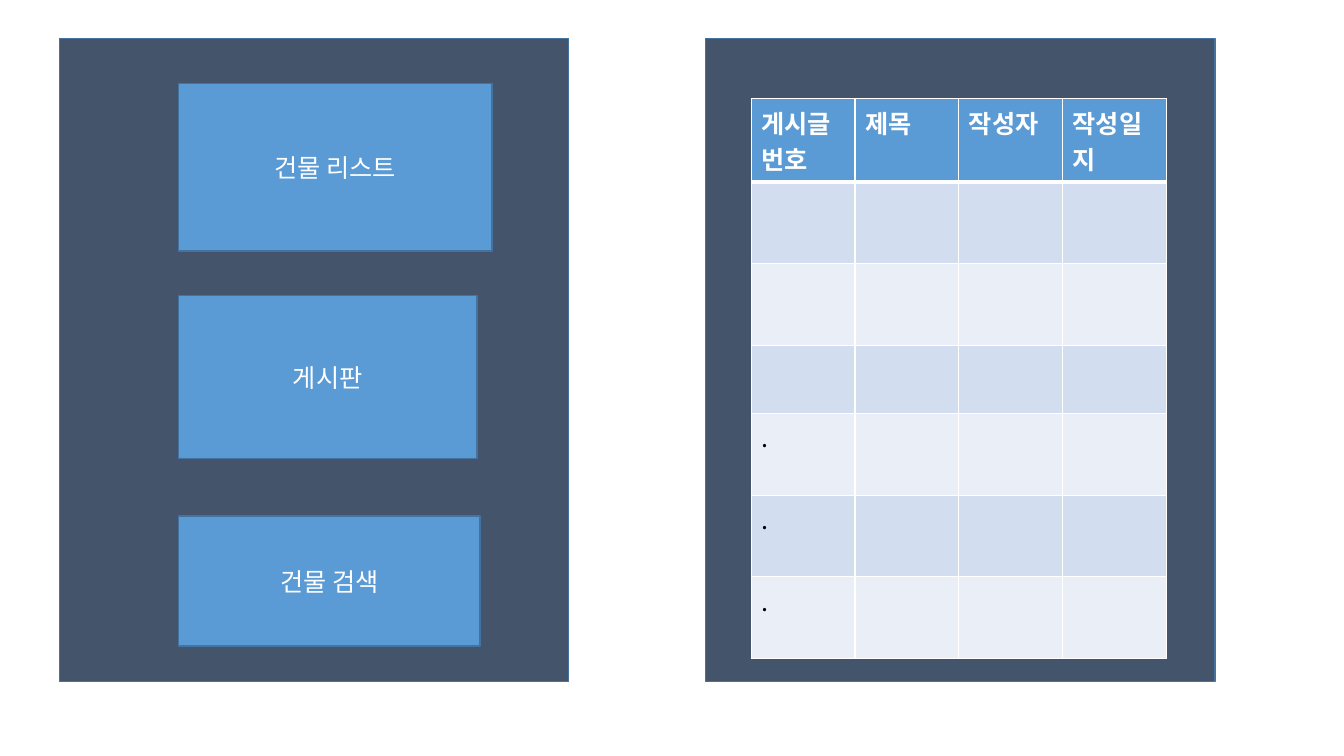
import pptx
import pptx.util
import pptx.dml.color
import pptx.enum.shapes
import pptx.enum.text
import pptx.oxml.ns
import lxml.etree

Inches = pptx.util.Inches
FONT = "Noto Sans CJK KR"
COLORS = {
    "panel": "44546A", "button": "5B9BD5", "outline": "43739E",
    "white": "FFFFFF", "black": "000000",
    "odd_row": "D2DEEF", "even_row": "EAEFF7",
}
PANEL_TOP, PANEL_WIDTH, PANEL_HEIGHT = 0.38, 5.05, 6.38

# Menu buttons: label, top within the panel, width, height
BUTTON_LEFT = 1.18
BUTTONS = [
    ("건물 리스트", 0.45, 3.11, 1.66),
    ("게시판", 2.55, 2.96, 1.62),
    ("건물 검색", 4.74, 2.99, 1.29),
]

# Post list
HEADERS = ["게시글번호", "제목", "작성자", "작성일지"]
ROW_HEIGHTS = [0.81, 0.81, 0.81, 0.68, 0.81, 0.81, 0.81]
COLUMN_WIDTH = 1.03
DOTTED_ROWS = (4, 5, 6)


def color(name):
    return pptx.dml.color.RGBColor.from_string(COLORS[name])


def add_child(parent, tag, **attributes):
    return lxml.etree.SubElement(parent, pptx.oxml.ns.qn(tag), attributes)


def write(frame, text, color_name, bold=False):
    para = frame.paragraphs[0]
    para.text = text
    font = para.font
    font.name = FONT
    font.size = pptx.util.Pt(18)
    font.bold = bold
    font.color.rgb = color(color_name)
    # Hangul takes the East Asian typeface
    add_child(para._p.pPr.find(pptx.oxml.ns.qn("a:defRPr")), "a:ea", typeface=FONT)
    return para


def add_rectangle(page, left, top, width, height, fill):
    box = page.shapes.add_shape(
        pptx.enum.shapes.MSO_SHAPE.RECTANGLE,
        Inches(left), Inches(top), Inches(width), Inches(height))
    box.shadow.inherit = False
    box.fill.solid()
    box.fill.fore_color.rgb = color(fill)
    box.line.color.rgb = color("outline")
    box.line.width = pptx.util.Pt(1)
    return box


def style_cell(cell, fill, top=1, bottom=1):
    properties = cell._tc.get_or_add_tcPr()
    # Borders come before the fill in the cell properties
    for side, width in (("L", 1), ("R", 1), ("T", top), ("B", bottom)):
        border = add_child(properties, "a:ln" + side, w=str(pptx.util.Pt(width)))
        solid = add_child(border, "a:solidFill")
        add_child(solid, "a:srgbClr", val=COLORS["white"])
    cell.fill.solid()
    cell.fill.fore_color.rgb = color(fill)


def add_menu(page, left, top):
    add_rectangle(page, left, top, PANEL_WIDTH, PANEL_HEIGHT, "panel")
    for label, offset, width, height in BUTTONS:
        button = add_rectangle(page, left + BUTTON_LEFT, top + offset, width, height, "button")
        button.text_frame.vertical_anchor = pptx.enum.text.MSO_ANCHOR.MIDDLE
        para = write(button.text_frame, label, "white")
        para.alignment = pptx.enum.text.PP_ALIGN.CENTER


def add_board(page, left, top):
    add_rectangle(page, left, top, PANEL_WIDTH, PANEL_HEIGHT, "panel")
    table = page.shapes.add_table(
        len(ROW_HEIGHTS), len(HEADERS), Inches(left + 0.45), Inches(top + 0.6),
        Inches(COLUMN_WIDTH * len(HEADERS)), Inches(sum(ROW_HEIGHTS))).table
    for column in table.columns:
        column.width = Inches(COLUMN_WIDTH)
    for index, height in enumerate(ROW_HEIGHTS):
        table.rows[index].height = Inches(height)

    # Header row with a heavy rule below it
    for cell, header in zip(table.rows[0].cells, HEADERS):
        style_cell(cell, "button", bottom=3)
        write(cell.text_frame, header, "white", bold=True)

    # Banded body rows
    for index in range(1, len(ROW_HEIGHTS)):
        for cell in table.rows[index].cells:
            style_cell(cell, "odd_row" if index % 2 else "even_row",
                       top=3 if index == 1 else 1)
    for index in DOTTED_ROWS:
        write(table.cell(index, 0).text_frame, ".", "black")


deck = pptx.Presentation()
deck.slide_width = Inches(13.33)
deck.slide_height = Inches(7.5)
page = deck.slides.add_slide(deck.slide_layouts[6])
add_menu(page, 0.59, PANEL_TOP)
add_board(page, 7, PANEL_TOP)
deck.save("out.pptx")
